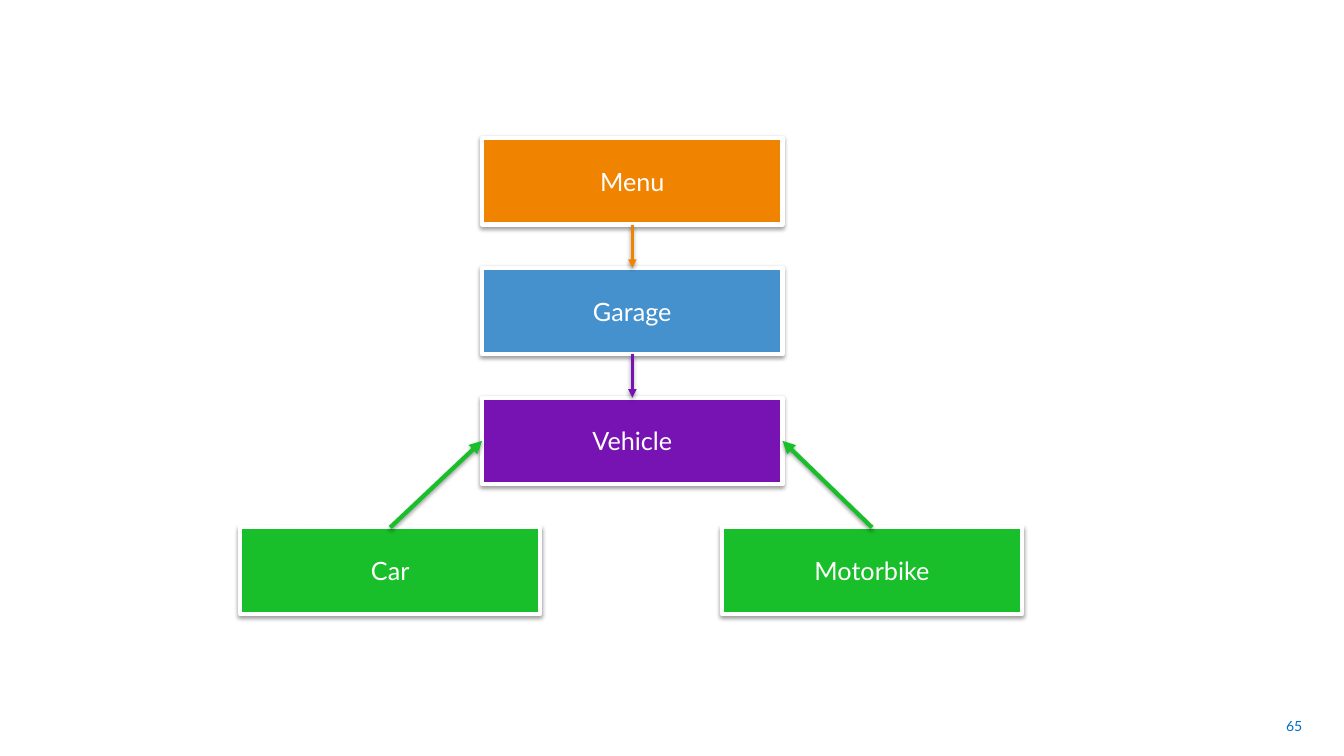
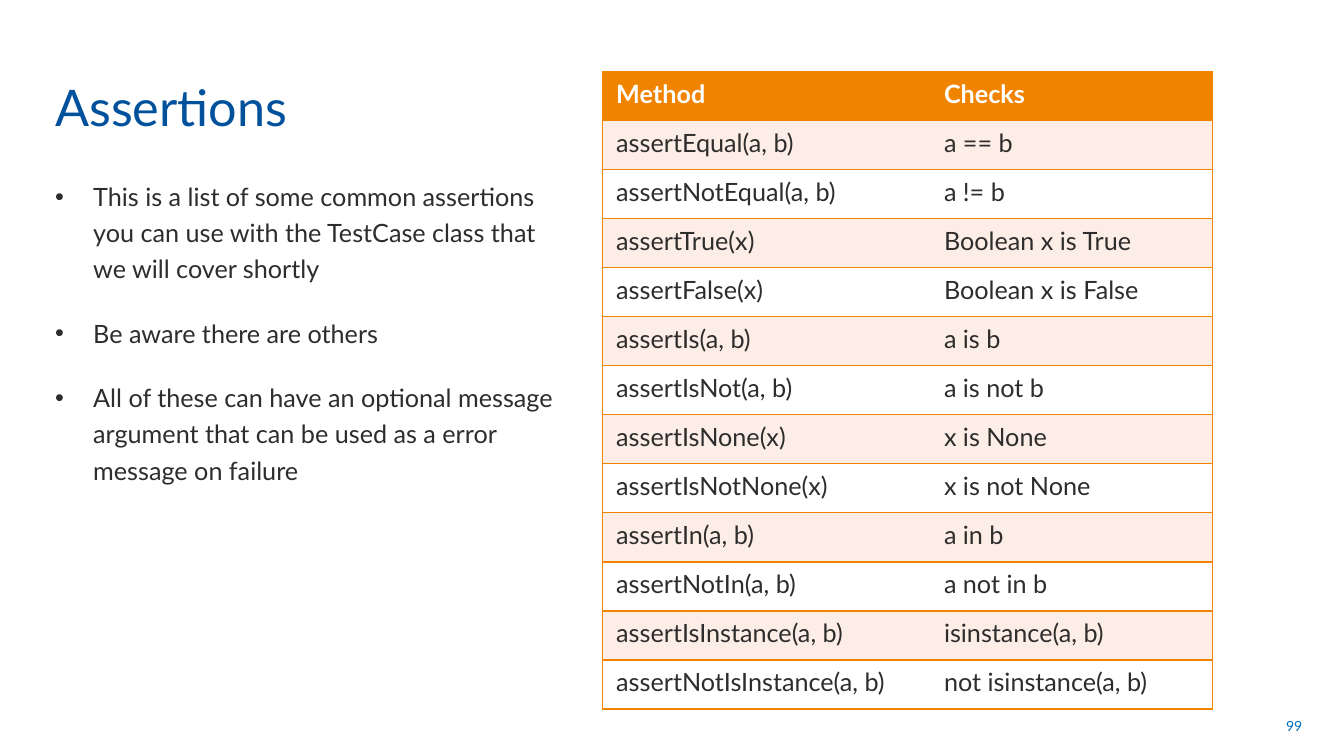
import lxml.etree
import pptx
import pptx.dml.color
import pptx.enum.shapes
import pptx.enum.text
import pptx.oxml
import pptx.oxml.ns
import pptx.util

Cm, Pt = pptx.util.Cm, pptx.util.Pt
qn = pptx.oxml.ns.qn
ALIGN = pptx.enum.text.PP_ALIGN
ANCHOR = pptx.enum.text.MSO_ANCHOR

FONT = "Lato"
WHITE, INK, TITLE_BLUE, PAGE_BLUE = "FFFFFF", "2E2D2C", "00519C", "0070C0"
ORANGE, BLUE, PURPLE, GREEN, BLUSH = "F08300", "4591CE", "7713B2", "18BF2B", "FCEDE7"

# Class diagram: name, column, row, colour
LEFT, MIDDLE, RIGHT = 6.05, 12.15, 18.19
BOXES = [
    ("Menu", MIDDLE, 0, ORANGE),
    ("Garage", MIDDLE, 1, BLUE),
    ("Vehicle", MIDDLE, 2, PURPLE),
    ("Car", LEFT, 3, GREEN),
    ("Motorbike", RIGHT, 3, GREEN),
]
BOX_W, BOX_H, BOX_TOP, BOX_PITCH = 7.57, 2.18, 3.48, 3.27

# Arrows: start box and side, end box and side, colour, width
SIDES = {"top": 0, "left": 1, "bottom": 2, "right": 3}
ARROWS = [
    ("Car", "top", "Vehicle", "left", GREEN, 3),
    ("Motorbike", "top", "Vehicle", "right", GREEN, 3),
    ("Garage", "bottom", "Vehicle", "top", PURPLE, 2),
    ("Menu", "bottom", "Garage", "top", ORANGE, 2),
]

BULLETS = [
    "This is a list of some common assertions you can use with the TestCase class that we will cover shortly",
    "Be aware there are others",
    "All of these can have an optional message argument that can be used as a error message on failure",
]
ASSERTIONS = [
    ("Method", "Checks"),
    ("assertEqual(a, b)", "a == b"),
    ("assertNotEqual(a, b)", "a != b"),
    ("assertTrue(x)", "Boolean x is True"),
    ("assertFalse(x)", "Boolean x is False"),
    ("assertIs(a, b)", "a is b"),
    ("assertIsNot(a, b)", "a is not b"),
    ("assertIsNone(x)", "x is None"),
    ("assertIsNotNone(x)", "x is not None"),
    ("assertIn(a, b)", "a in b"),
    ("assertNotIn(a, b)", "a not in b"),
    ("assertIsInstance(a, b)", "isinstance(a, b)"),
    ("assertNotIsInstance(a, b)", "not isinstance(a, b)"),
]
COL_WIDTHS = (8.26, 7.11)
TABLE_H = 16.08
INSET_X, INSET_Y = Cm(0.34), Cm(0.17)


def rgb(color):
    return pptx.dml.color.RGBColor.from_string(color)


def add_child(parent, tag, **attrs):
    return lxml.etree.SubElement(parent, qn(tag), {k: str(v) for k, v in attrs.items()})


def style(p, size, color, align=ALIGN.LEFT, bold=False):
    p.alignment = align
    p.font.name, p.font.size, p.font.bold = FONT, Pt(size), bold
    p.font.color.rgb = rgb(color)


def add_text(slide, box, paragraphs, size, color, anchor=ANCHOR.TOP, align=ALIGN.LEFT):
    tf = slide.shapes.add_textbox(*map(Cm, box)).text_frame
    tf.word_wrap = True
    tf.vertical_anchor = anchor
    tf.text = "\n".join(paragraphs)
    for p in tf.paragraphs:
        style(p, size, color, align)
    return tf


def add_slide(prs, number):
    slide = prs.slides.add_slide(prs.slide_layouts[6])
    add_text(slide, (25.17, 17.78, 7.9, 1.02), [str(number)], 10, PAGE_BLUE,
             ANCHOR.MIDDLE, ALIGN.RIGHT)
    return slide


def add_title(slide, title):
    add_text(slide, (1.14, 0.36, 25.35, 3.2), [title], 36, TITLE_BLUE, ANCHOR.BOTTOM)


def add_shadow(sp):
    """Drop a soft shadow straight down; call once the line is set."""
    effects = add_child(sp._element.spPr, "a:effectLst")
    shadow = add_child(effects, "a:outerShdw", blurRad=Pt(3.1), dist=Pt(1.6),
                       dir=90 * 60000, rotWithShape=0)
    add_child(add_child(shadow, "a:srgbClr", val="000000"), "a:alpha", val=38000)


def add_box(slide, name, left, row, color):
    sp = slide.shapes.add_shape(
        pptx.enum.shapes.MSO_SHAPE.RECTANGLE,
        Cm(left), Cm(BOX_TOP + row * BOX_PITCH), Cm(BOX_W), Cm(BOX_H))
    sp.fill.solid()
    sp.fill.fore_color.rgb = rgb(color)
    sp.line.color.rgb, sp.line.width = rgb(WHITE), Pt(3)
    add_shadow(sp)
    tf = sp.text_frame
    tf.vertical_anchor = ANCHOR.MIDDLE
    tf.text = name
    style(tf.paragraphs[0], 18, WHITE, ALIGN.CENTER)
    return sp


def add_arrow(slide, start, start_side, end, end_side, color, width):
    line = slide.shapes.add_connector(pptx.enum.shapes.MSO_CONNECTOR.STRAIGHT, 0, 0, 0, 0)
    line.begin_connect(start, SIDES[start_side])
    line.end_connect(end, SIDES[end_side])
    line.line.color.rgb, line.line.width = rgb(color), Pt(width)
    add_child(line.line._get_or_add_ln(), "a:tailEnd", type="triangle")
    add_shadow(line)


def add_bullets(slide, box, items):
    for p in add_text(slide, box, items, 18, INK).paragraphs:
        p.line_spacing = 1.2
        p.space_before = p.space_after = Pt(10)
        pPr = p._p.get_or_add_pPr()
        pPr.set("marL", str(Cm(0.96)))
        pPr.set("indent", str(-Cm(0.96)))
        add_child(pPr, "a:buFont", typeface="Arial")
        add_child(pPr, "a:buChar", char="•")


def set_borders(cell, visible):
    """Draw the sides named in visible (of L, R, T, B) and clear the others."""
    tcPr = cell._tc.get_or_add_tcPr()
    for i, side in enumerate("LRTB"):
        ln = pptx.oxml.parse_xml(
            f'<a:ln{side} {pptx.oxml.ns.nsdecls("a")} w="{Pt(1)}"/>')
        if side in visible:
            add_child(add_child(ln, "a:solidFill"), "a:srgbClr", val=ORANGE)
        else:
            add_child(ln, "a:noFill")
        tcPr.insert(i, ln)


def add_grid(slide, left, top, rows):
    table = slide.shapes.add_table(len(rows), len(COL_WIDTHS), Cm(left), Cm(top),
                                   Cm(sum(COL_WIDTHS)), Cm(TABLE_H)).table
    for column, width in zip(table.columns, COL_WIDTHS):
        column.width = Cm(width)
    for r, texts in enumerate(rows):
        header = r == 0
        fill = ORANGE if header else BLUSH if r % 2 else WHITE
        for c, text in enumerate(texts):
            cell = table.cell(r, c)
            cell.text = text
            cell.margin_left = cell.margin_right = INSET_X
            cell.margin_top = cell.margin_bottom = INSET_Y
            cell.fill.solid()
            cell.fill.fore_color.rgb = rgb(fill)
            set_borders(cell, "TB" + "LR"[c])
            style(cell.text_frame.paragraphs[0], 18, WHITE if header else INK, bold=header)


def main():
    prs = pptx.Presentation()
    prs.slide_width, prs.slide_height = Cm(33.87), Cm(19.05)

    diagram = add_slide(prs, 65)
    boxes = {box[0]: add_box(diagram, *box) for box in BOXES}
    for start, start_side, end, end_side, color, width in ARROWS:
        add_arrow(diagram, boxes[start], start_side, boxes[end], end_side, color, width)

    assertions = add_slide(prs, 99)
    add_bullets(assertions, (1.14, 4.29, 13.06, 12.62), BULLETS)
    add_title(assertions, "Assertions")
    add_grid(assertions, 15.19, 1.8, ASSERTIONS)

    prs.save("out.pptx")


if __name__ == "__main__":
    main()
